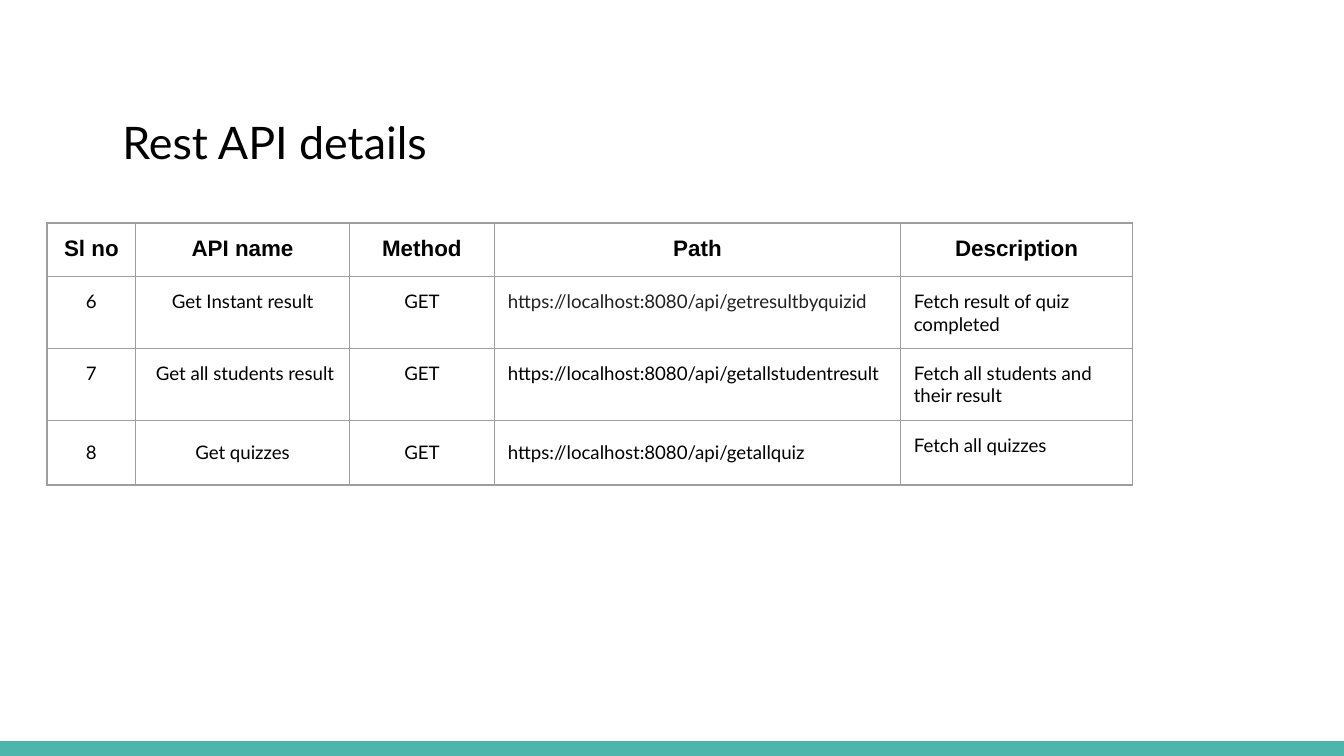
from typing import NamedTuple

from lxml.etree import SubElement
from pptx import Presentation
from pptx.dml.color import RGBColor
from pptx.enum.shapes import MSO_SHAPE
from pptx.enum.text import MSO_ANCHOR as ANCHOR, MSO_AUTO_SIZE as AUTO_SIZE, PP_ALIGN as ALIGN
from pptx.oxml.ns import qn
from pptx.util import Inches, Pt

SLIDE_WIDTH = 10
SLIDE_HEIGHT = SLIDE_WIDTH * 9 / 16
BAND_HEIGHT = 0.11

BLACK = RGBColor(0x00, 0x00, 0x00)
DARK = RGBColor(0x21, 0x21, 0x21)
GREY = RGBColor(0x9E, 0x9E, 0x9E)
TEAL = RGBColor(0x4D, 0xB6, 0xAC)
WHITE = RGBColor(0xFF, 0xFF, 0xFF)


class Column(NamedTuple):
    heading: str
    width: float
    align: ALIGN


class Endpoint(NamedTuple):
    number: str
    name: str
    method: str
    url: str
    description: str


COLUMNS = [
    Column("Sl no", 0.66, ALIGN.CENTER),
    Column("API name", 1.59, ALIGN.CENTER),
    Column("Method", 1.08, ALIGN.CENTER),
    Column("Path", 3.02, ALIGN.LEFT),
    Column("Description", 1.73, ALIGN.LEFT),
]
ENDPOINTS = [
    Endpoint("6", "Get Instant result", "GET",
             "https://localhost:8080/api/getresultbyquizid", "Fetch result of quiz completed"),
    Endpoint("7", " Get all students result", "GET",
             "https://localhost:8080/api/getallstudentresult", "Fetch all students and their result"),
    Endpoint("8", "Get quizzes", "GET",
             "https://localhost:8080/api/getallquiz", "Fetch all quizzes"),
]
ROW_HEIGHTS = [0.4, 0.33, 0.33, 0.48]
URL_COLUMN = Endpoint._fields.index("url")
DESCRIPTION_COLUMN = Endpoint._fields.index("description")


def write(tf, text: str, *, size: float, font: str = "Lato", color: RGBColor = BLACK,
          bold: bool = False, align: ALIGN = ALIGN.LEFT) -> None:
    p = tf.paragraphs[0]
    p.alignment = align
    r = p.add_run()
    r.text = text
    r.font.size, r.font.name, r.font.bold = Pt(size), font, bold
    r.font.color.rgb = color


def set_margins(box, margin: float = 0.1) -> None:
    box.margin_left = box.margin_right = Inches(margin)
    box.margin_top = box.margin_bottom = Inches(margin)


def set_borders(cell, color: RGBColor, width: float) -> None:
    tc_pr = cell._tc.get_or_add_tcPr()
    for side in ("a:lnL", "a:lnR", "a:lnT", "a:lnB"):
        line = SubElement(tc_pr, qn(side), w=str(Pt(width)))
        fill = SubElement(line, qn("a:solidFill"))
        SubElement(fill, qn("a:srgbClr"), val=str(color))


def format_cell(cell, text: str, *, anchor: ANCHOR = ANCHOR.TOP, **text_format) -> None:
    set_margins(cell)
    cell.vertical_anchor = anchor
    set_borders(cell, GREY, 0.75)
    cell.fill.background()
    write(cell.text_frame, text, **text_format)


def add_endpoint_table(slide, left: float, top: float) -> None:
    width = sum(column.width for column in COLUMNS)
    table = slide.shapes.add_table(
        len(ROW_HEIGHTS), len(COLUMNS), Inches(left), Inches(top),
        Inches(width), Inches(sum(ROW_HEIGHTS))).table
    table.first_row = table.horz_banding = False
    for row, height in zip(table.rows, ROW_HEIGHTS):
        row.height = Inches(height)

    for c, column in enumerate(COLUMNS):
        table.columns[c].width = Inches(column.width)
        format_cell(table.cell(0, c), column.heading, size=12, font="Arial",
                    bold=True, align=ALIGN.CENTER)
        for r, endpoint in enumerate(ENDPOINTS, start=1):
            # The last row is centred vertically, except for its description
            middle = r == len(ENDPOINTS) and c != DESCRIPTION_COLUMN
            format_cell(table.cell(r, c), endpoint[c], size=10, align=column.align,
                        anchor=ANCHOR.MIDDLE if middle else ANCHOR.TOP,
                        color=DARK if (r, c) == (1, URL_COLUMN) else BLACK)


def main() -> None:
    prs = Presentation()
    prs.slide_width, prs.slide_height = Inches(SLIDE_WIDTH), Inches(SLIDE_HEIGHT)
    slide = prs.slides.add_slide(prs.slide_layouts[5])
    slide.background.fill.solid()
    slide.background.fill.fore_color.rgb = WHITE

    # Bottom band
    band = slide.shapes.add_shape(
        MSO_SHAPE.RECTANGLE, 0, Inches(SLIDE_HEIGHT - BAND_HEIGHT),
        Inches(SLIDE_WIDTH), Inches(BAND_HEIGHT))
    band.shadow.inherit = False
    band.fill.solid()
    band.fill.fore_color.rgb = TEAL
    band.line.fill.background()

    # Title
    title = slide.shapes.title
    title.left, title.top = Inches(0.81), Inches(0.75)
    title.width, title.height = Inches(4.47), Inches(0.61)
    tf = title.text_frame
    tf.word_wrap = True
    tf.auto_size = AUTO_SIZE.SHAPE_TO_FIT_TEXT
    tf.vertical_anchor = ANCHOR.TOP
    set_margins(tf)
    write(tf, "Rest API details", size=24)

    # Endpoint table
    add_endpoint_table(slide, 0.35, 1.66)

    prs.save("out.pptx")


if __name__ == "__main__":
    main()
